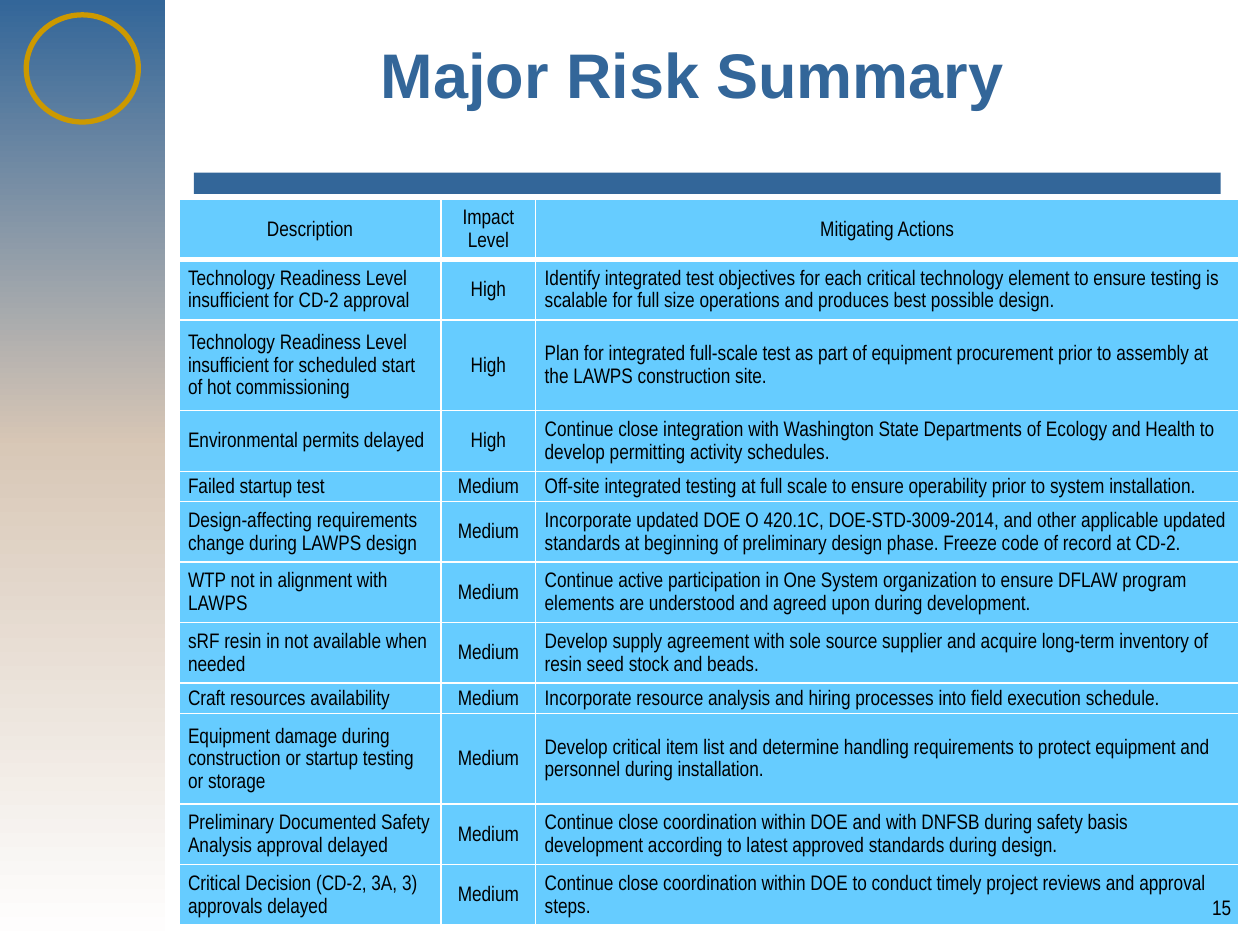
from lxml import etree
from pptx import Presentation
from pptx.dml.color import RGBColor
from pptx.enum.shapes import MSO_SHAPE
from pptx.enum.text import MSO_ANCHOR, PP_ALIGN
from pptx.oxml.ns import qn
from pptx.util import Cm, Pt

RECT, OVAL = MSO_SHAPE.RECTANGLE, MSO_SHAPE.OVAL
LEFT, CENTER, RIGHT = PP_ALIGN.LEFT, PP_ALIGN.CENTER, PP_ALIGN.RIGHT
MIDDLE, TOP = MSO_ANCHOR.MIDDLE, MSO_ANCHOR.TOP

# Content
TITLE = "Major Risk Summary"
PAGE_NUMBER = "15"
HEADINGS = ("Description", "Impact Level", "Mitigating Actions")
# Row height in text lines, then description, impact level, mitigating action
RISKS = [
    (2, "Technology Readiness Level insufficient for CD-2 approval", "High",
     "Identify integrated test objectives for each critical technology element to ensure "
     "testing is scalable for full size operations and produces best possible design."),
    (3, "Technology Readiness Level insufficient for scheduled start of hot commissioning", "High",
     "Plan for integrated full-scale test as part of equipment procurement prior to assembly "
     "at the LAWPS construction site."),
    (2, "Environmental permits delayed", "High",
     "Continue close integration with Washington State Departments of Ecology and Health to "
     "develop permitting activity schedules."),
    (1, "Failed startup test", "Medium",
     "Off-site integrated testing at full scale to ensure operability prior to system "
     "installation."),
    (2, "Design-affecting requirements change during LAWPS design", "Medium",
     "Incorporate updated DOE O 420.1C, DOE-STD-3009-2014, and other applicable updated "
     "standards at beginning of preliminary design phase. Freeze code of record at CD-2."),
    (2, "WTP not in alignment with LAWPS", "Medium",
     "Continue active participation in One System organization to ensure DFLAW program "
     "elements are understood and agreed upon during development."),
    (2, "sRF resin in not available when needed", "Medium",
     "Develop supply agreement with sole source supplier and acquire long-term inventory of "
     "resin seed stock and beads."),
    (1, "Craft resources availability", "Medium",
     "Incorporate resource analysis and hiring processes into field execution schedule."),
    (3, "Equipment damage during construction or startup testing or storage", "Medium",
     "Develop critical item list and determine handling requirements to protect equipment and "
     "personnel during installation."),
    (2, "Preliminary Documented Safety Analysis approval delayed", "Medium",
     "Continue close coordination within DOE and with DNFSB during safety basis development "
     "according to latest approved standards during design."),
    (2, "Critical Decision (CD-2, 3A, 3) approvals delayed", "Medium",
     "Continue close coordination within DOE to conduct timely project reviews and approval "
     "steps."),
]

# Theme: colours and type
THEME = {
    "blue": RGBColor.from_string("336699"),
    "sand": RGBColor.from_string("D7C6B5"),
    "white": RGBColor.from_string("FFFFFF"),
    "gold": RGBColor.from_string("CC9900"),
    "cell": RGBColor.from_string("66CCFF"),
    "black": RGBColor.from_string("000000"),
    "title": {"name": "Arial", "size": Pt(36), "bold": True},
    "body": {"name": "Arial Narrow", "size": Pt(12), "bold": False},
}
HEADING_FORMAT = {"alignment": CENTER, "line_spacing": 1.15}
RISK_FORMAT = {"line_spacing": 1.15, "space_before": Pt(2), "space_after": Pt(2)}
CELL_FORMAT = {"vertical_anchor": MIDDLE, "margin_left": Cm(0.18), "margin_right": Cm(0.18),
               "margin_top": 0, "margin_bottom": 0}

# Layout in centimetres
SIDEBAR_WIDTH = 3.33
TABLE_LEFT, TABLE_TOP = 3.61, 4.01
COLUMN_WIDTHS = (5.28, 1.91, 14.17)
COLUMN_ALIGNMENTS = (LEFT, CENTER, LEFT)
LINE_HEIGHT = 0.61
THIN, THICK = Pt(1), Pt(3)


def apply(target, values):
    for attribute, value in values.items():
        setattr(target, attribute, value)


def write(frame, text, font, colour, paragraph_format):
    paragraph = frame.paragraphs[0]
    apply(paragraph, paragraph_format)
    run = paragraph.add_run()
    run.text = text
    apply(run.font, THEME[font])
    run.font.color.rgb = THEME[colour]


def add_plain(slide, kind, box):
    shape = slide.shapes.add_shape(kind, *map(Cm, box))
    shape.shadow.inherit = False
    shape.line.fill.background()
    return shape


def add_gradient(slide, box, colours):
    fill = add_plain(slide, RECT, box).fill
    fill.gradient()
    fill.gradient_angle = 270
    for stop, colour in zip(fill.gradient_stops, colours):
        stop.color.rgb = THEME[colour]


def add_text(slide, box, anchor, *text_style):
    frame = slide.shapes.add_textbox(*map(Cm, box)).text_frame
    frame.word_wrap = True
    frame.vertical_anchor = anchor
    write(frame, *text_style)


def set_borders(cell, widths):
    properties = cell._tc.get_or_add_tcPr()
    for index, (side, width) in enumerate(widths.items()):
        line = etree.Element(qn(f"a:ln{side}"), w=str(width))
        solid = etree.SubElement(line, qn("a:solidFill"))
        etree.SubElement(solid, qn("a:srgbClr"), val=str(THEME["white"]))
        properties.insert(index, line)


def add_risk_table(slide):
    rows = [(2, *HEADINGS), *RISKS]
    height = LINE_HEIGHT * sum(row[0] for row in rows)
    table = slide.shapes.add_table(
        len(rows), len(HEADINGS), Cm(TABLE_LEFT), Cm(TABLE_TOP),
        Cm(sum(COLUMN_WIDTHS)), Cm(height)).table
    apply(table, {"first_row": False, "horz_banding": False})
    for column, width in zip(table.columns, COLUMN_WIDTHS):
        column.width = Cm(width)
    for r, (lines, *texts) in enumerate(rows):
        table.rows[r].height = Cm(LINE_HEIGHT * lines)
        borders = {"L": THIN, "R": THIN, "T": THICK if r == 1 else THIN,
                   "B": THICK if r == 0 else THIN}
        for c, text in enumerate(texts):
            cell = table.cell(r, c)
            apply(cell, CELL_FORMAT)
            cell.fill.solid()
            cell.fill.fore_color.rgb = THEME["cell"]
            set_borders(cell, borders)
            risk_format = {**RISK_FORMAT, "alignment": COLUMN_ALIGNMENTS[c]}
            if r == 1 or r > 1:
                paragraph_format = risk_format
            else:
                paragraph_format = HEADING_FORMAT
            write(cell.text_frame, text, "body", "black", paragraph_format)


def main():
    deck = Presentation()
    deck.slide_width, deck.slide_height = Cm(25.4), Cm(19.05)
    slide = deck.slides.add_slide(deck.slide_layouts[6])

    # Sidebar with ring
    add_gradient(slide, (0, 8.64, SIDEBAR_WIDTH, 10.41), ("sand", "white"))
    add_gradient(slide, (0, 0, SIDEBAR_WIDTH, 8.94), ("blue", "sand"))
    ring = add_plain(slide, OVAL, (0.53, 0.3, 2.26, 2.16))
    ring.fill.background()
    ring.line.color.rgb = THEME["gold"]
    ring.line.width = Pt(3)

    # Title and bar below it
    bar = add_plain(slide, RECT, (3.91, 3.48, 20.7, 0.43))
    bar.fill.solid()
    bar.fill.fore_color.rgb = THEME["blue"]
    add_text(slide, (3.38, 0, 21.16, 2.97), MIDDLE, TITLE, "title", "blue",
             {"alignment": CENTER})

    # Risks and page number
    add_risk_table(slide)
    add_text(slide, (18.42, 17.91, 6.65, 0.84), TOP, PAGE_NUMBER, "body", "black",
             {"alignment": RIGHT})
    deck.save("out.pptx")


if __name__ == "__main__":
    main()
